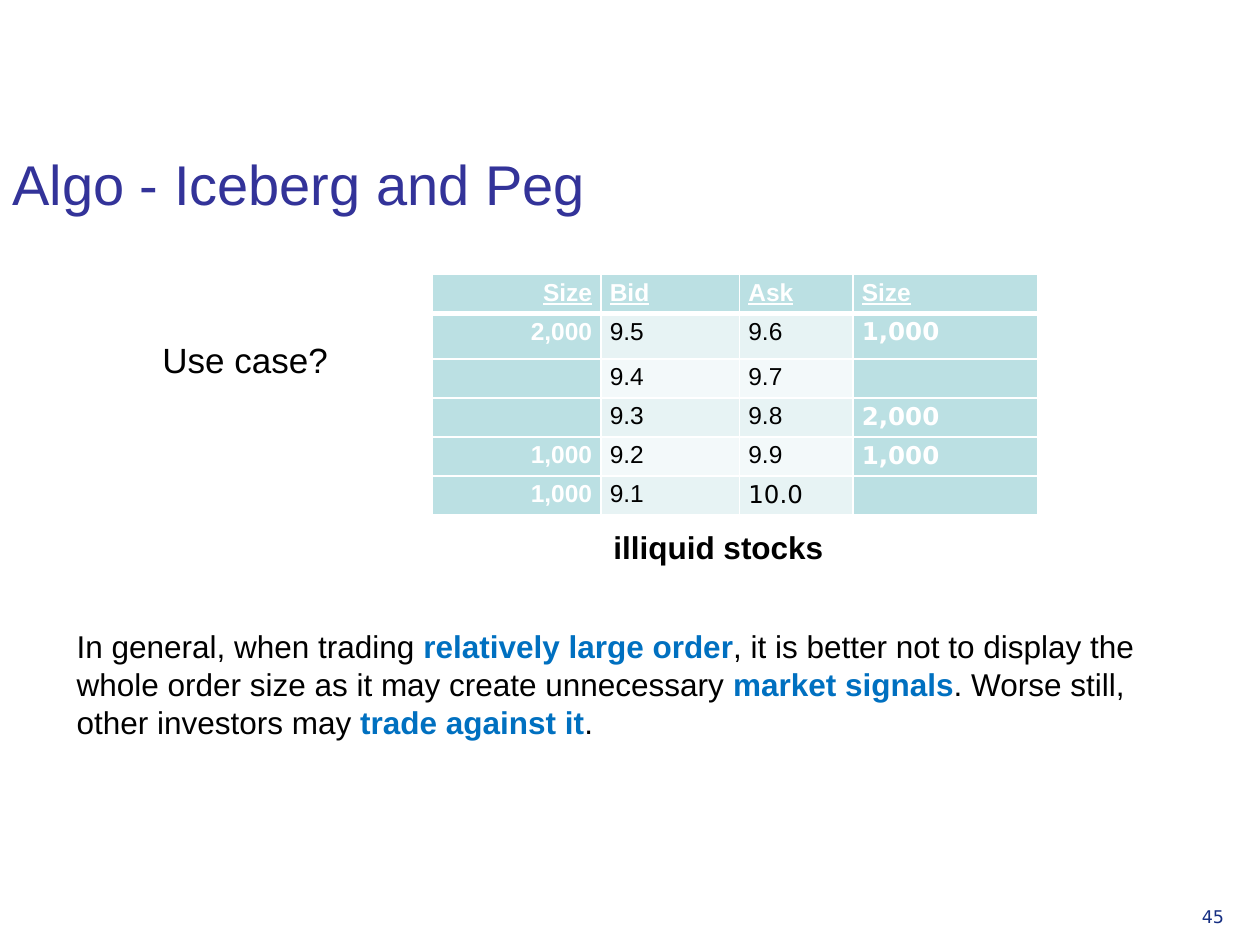
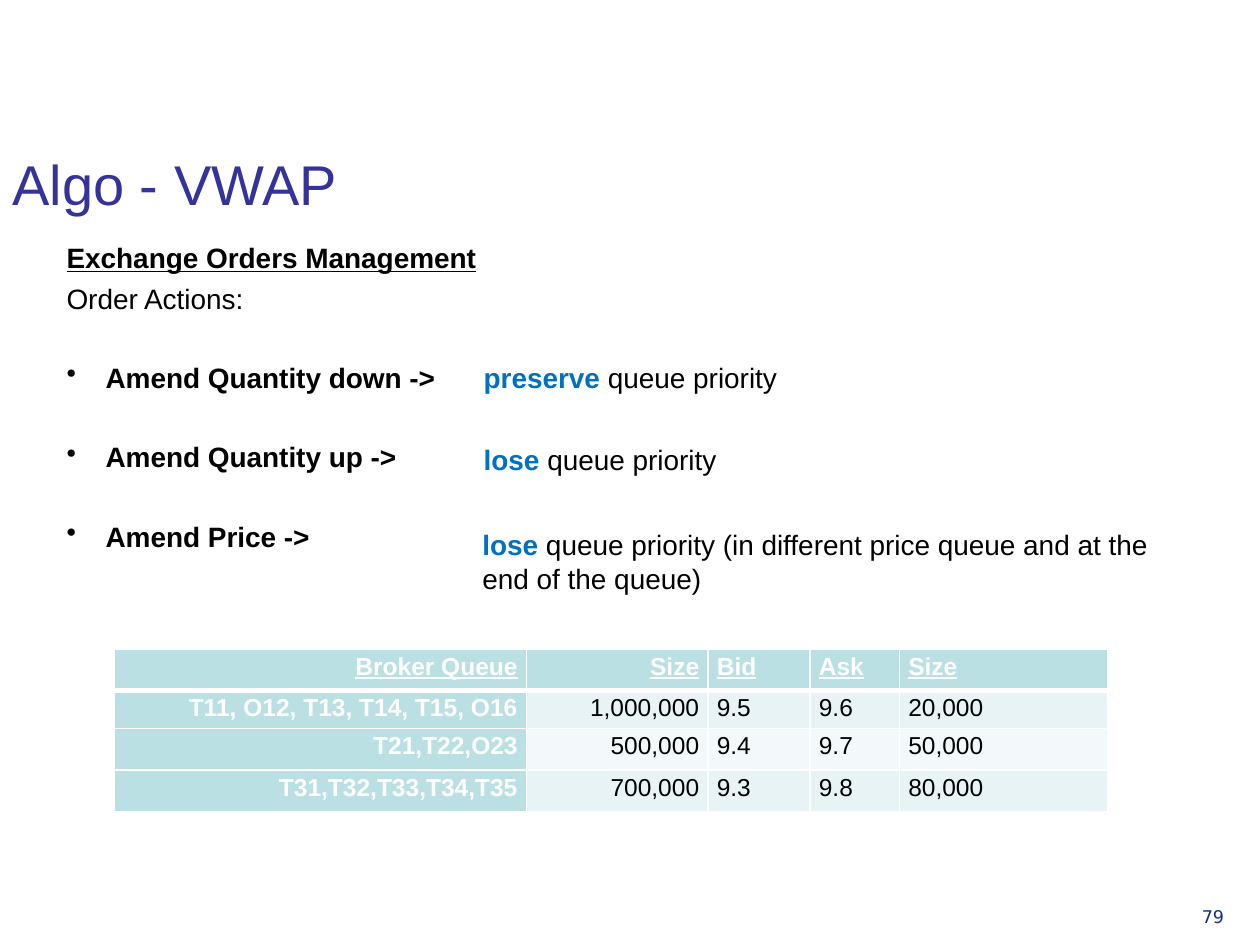
import pptx
import pptx.util
import pptx.dml.color
import pptx.enum.text
import pptx.oxml
import pptx.oxml.ns
import lxml.etree

deck = pptx.Presentation()
deck.slide_width = pptx.util.Inches(10)
deck.slide_height = pptx.util.Inches(7.5)

# Shared grid, colours and fonts
col = deck.slide_width / 100
row = deck.slide_height / 75
Pt = pptx.util.Pt
tint = pptx.dml.color.RGBColor.from_string
navy, page, blue = "333399", "152E82", "0070C0"
black, white = "000000", "FFFFFF"
teal, bands = "BBE0E3", ("E7F3F4", "F3F9FA")
sans, wide = "Arial", "DejaVu Sans"
qn = pptx.oxml.ns.qn


def write(slide, box, lines, size, color=black, font=sans, bold=False, wrap=True):
    """Add a text box; parts between asterisks turn bold and blue."""
    left, top, width, height = box
    shape = slide.shapes.add_textbox(
        int(left * col), int(top * row), int(width * col), int(height * row))
    frame = shape.text_frame
    frame.word_wrap = wrap
    for n, line in enumerate(lines):
        para = frame.paragraphs[0] if n == 0 else frame.add_paragraph()
        for k, part in enumerate(line.split("*")):
            if part:
                run = para.add_run()
                run.text = part
                if k % 2:
                    run.font.bold = True
                    run.font.color.rgb = tint(blue)
        para.font.name = font
        para.font.size = Pt(size)
        para.font.bold = bold
        para.font.color.rgb = tint(color)
    return frame


def quote(slide, place, widths, heights, rows, right, keys):
    """Add an order table; a leading ~ asks for the wide font."""
    left, top = place
    table = slide.shapes.add_table(
        len(rows), len(widths), int(left * col), int(top * row),
        int(sum(widths) * col), int(sum(heights) * row)).table
    for n, width in enumerate(widths):
        table.columns[n].width = int(width * col)
    for r, items in enumerate(rows):
        table.rows[r].height = int(heights[r] * row)
        for c, item in enumerate(items):
            cell = table.cell(r, c)
            key = r == 0 or c in keys
            cell.margin_left = cell.margin_right = int(0.7 * col)
            cell.margin_top = cell.margin_bottom = 0

            # Borders come before the fill in the cell properties
            props = cell._tc.get_or_add_tcPr()
            for side in ("lnL", "lnR", "lnT", "lnB"):
                thick = (r == 0 and side == "lnB") or (r == 1 and side == "lnT")
                edge = lxml.etree.SubElement(
                    props, qn("a:" + side), w=str(Pt(3 if thick else 1)))
                paint = lxml.etree.SubElement(edge, qn("a:solidFill"))
                lxml.etree.SubElement(paint, qn("a:srgbClr"), val=white)
            cell.fill.solid()
            cell.fill.fore_color.rgb = tint(teal if key else bands[(r - 1) % 2])

            cell.text = item.lstrip("~")
            para = cell.text_frame.paragraphs[0]
            para.line_spacing = 1.15
            if c in right:
                para.alignment = pptx.enum.text.PP_ALIGN.RIGHT
            para.font.name = wide if item.startswith("~") else sans
            para.font.size = Pt(14)
            para.font.bold = key
            para.font.underline = r == 0
            para.font.color.rgb = tint(white if key else black)


# Slides with page number and title
slides = []
for number, title in (("45", "Algo - Iceberg and Peg"), ("79", "Algo - VWAP")):
    slide = deck.slides.add_slide(deck.slide_layouts[6])
    write(slide, (94.4, 71.4, 5.5, 3.9), [number], 10, page, wide)
    head = write(slide, (0, 6.8, 88.3, 10.9), [title], 32, navy)
    head.vertical_anchor = pptx.enum.text.MSO_ANCHOR.BOTTOM
    slides.append(slide)
peg, vwap = slides

# Iceberg and peg: use case, order book, advice
write(peg, (11.9, 26.4, 22, 7.1), ["Use case?"], 20)
quote(peg, (34.3, 21.8), (13.4, 11, 9, 14.7), (3.1, 3.6) + (3.1,) * 4, [
    ("Size", "Bid", "Ask", "Size"),
    ("2,000", "9.5", "9.6", "~1,000"),
    ("", "9.4", "9.7", ""),
    ("", "9.3", "9.8", "~2,000"),
    ("1,000", "9.2", "9.9", "~1,000"),
    ("1,000", "9.1", "~10.0", ""),
], right=(0,), keys=(0, 3))
write(peg, (47.7, 41.4, 18.8, 4), ["illiquid stocks"], 18, bold=True, wrap=False)
write(peg, (5.1, 49.3, 87.4, 10.1), [
    "In general, when trading *relatively large order*, it is better not to "
    "display the whole order size as it may create unnecessary *market signals*. "
    "Worse still, other investors may *trade against it*."], 18)

# VWAP: order actions
acts = write(vwap, (4.3, 18.6, 94.5, 28.3), [
    "Exchange Orders Management", "Order Actions:", "Amend Quantity down ->",
    "Amend Quantity up ->", "Amend Price ->"], 16, bold=True)
top, lead, *points = acts.paragraphs
top.font.underline = True
lead.font.bold = False
lead.space_before = Pt(4)
for para in points:
    para.space_before = Pt(26.2)
    props = para._p.get_or_add_pPr()
    props.set("marL", str(int(3.1 * col)))
    props.set("indent", str(int(-3.1 * col)))
    mark = pptx.oxml.parse_xml(
        '<a:buChar xmlns:a="http://schemas.openxmlformats.org/drawingml/2006/main"'
        ' char="•"/>')
    props.find(qn("a:defRPr")).addprevious(mark)

# VWAP: effect of each action
for box, line, wrap in (
        ((37.4, 28.1, 25.6, 3.7), "*preserve *queue priority", False),
        ((37.4, 34.6, 20.7, 3.7), "*lose *queue priority", False),
        ((37.3, 41.4, 56.8, 9.1), "*lose* queue priority (in different price "
         "queue and at the end of the queue)", True)):
    write(vwap, box, [line], 16, wrap=wrap)

# VWAP: broker queue
quote(vwap, (9.1, 51.5), (32.7, 14.4, 8.1, 7.1, 16.5), (3.3, 3, 3.3, 3.3), [
    ("Broker Queue", "Size", "Bid", "Ask", "Size"),
    ("T11, O12, T13, T14, T15, O16", "1,000,000", "9.5", "9.6", "20,000"),
    ("T21,T22,O23", "500,000", "9.4", "9.7", "50,000"),
    ("T31,T32,T33,T34,T35", "700,000", "9.3", "9.8", "80,000"),
], right=(0, 1), keys=(0,))

deck.save("out.pptx")
